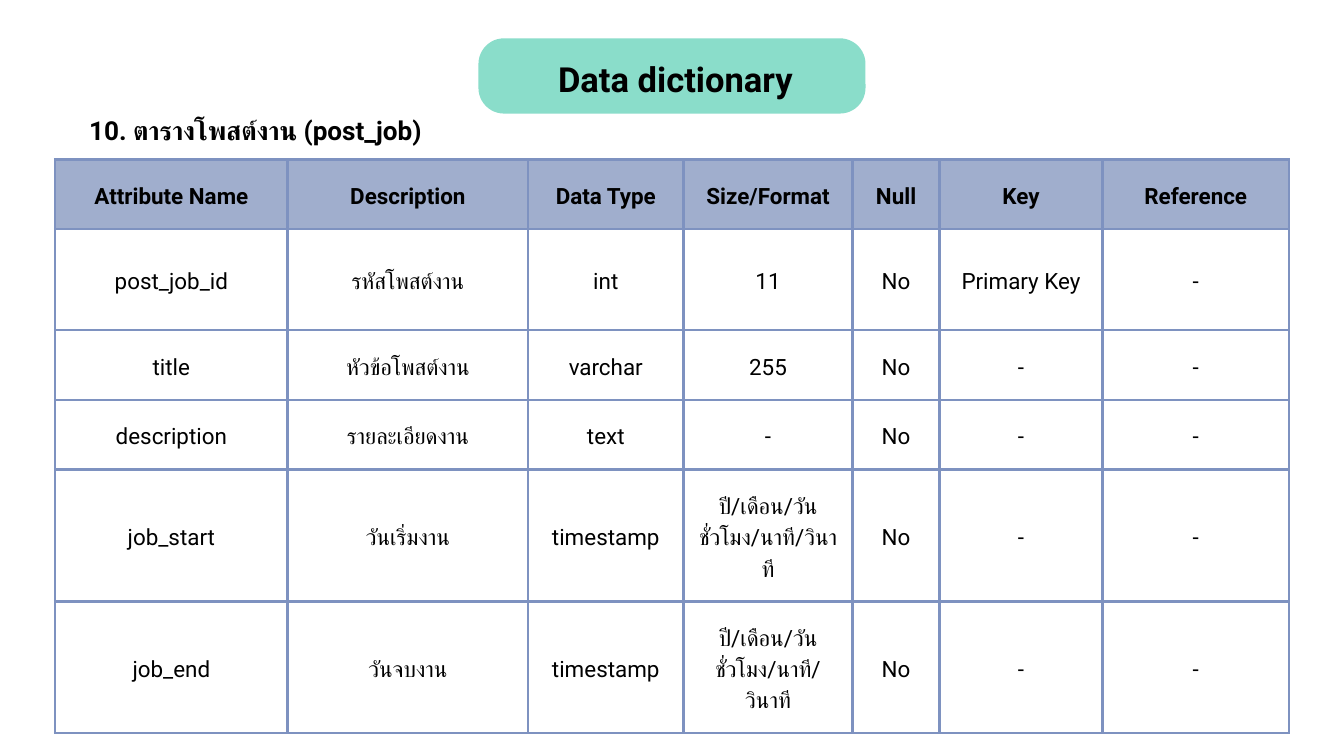
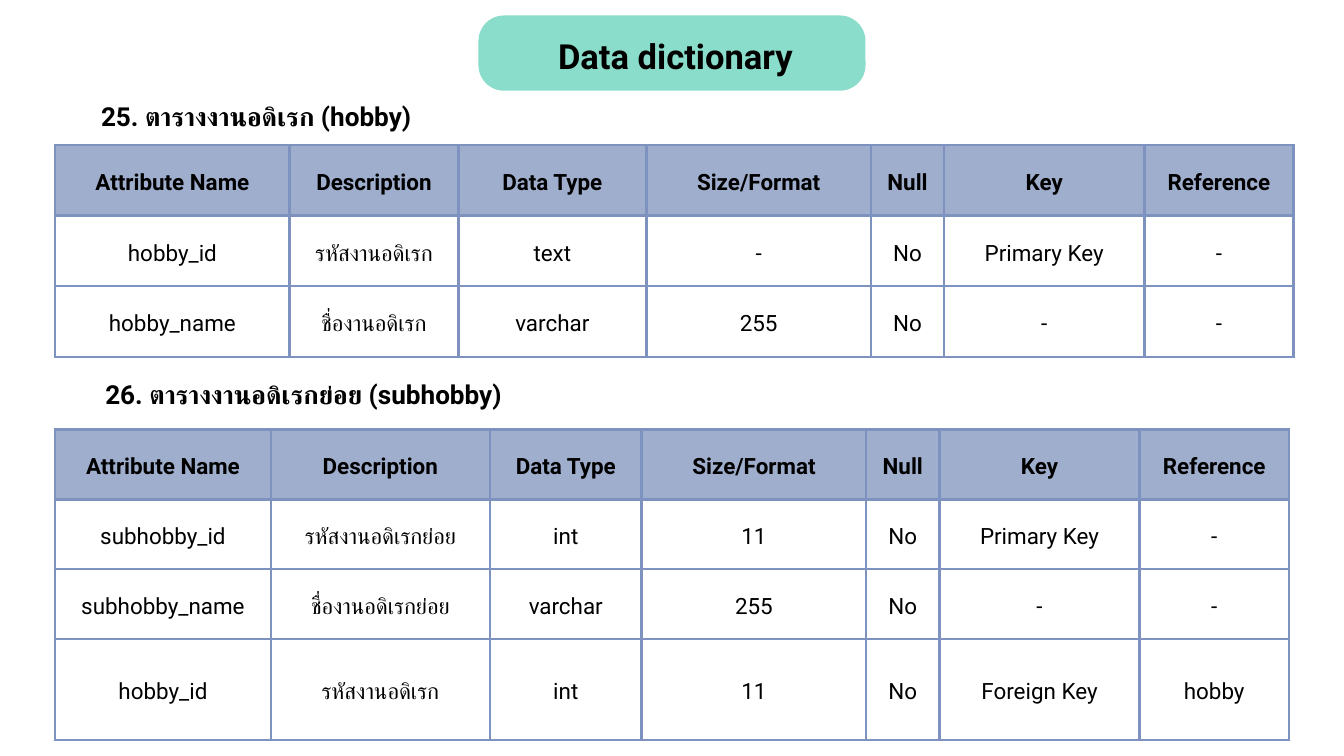
"""Build two data dictionary slides with titled attribute tables."""
from lxml.etree import SubElement
from pptx import Presentation
from pptx.dml.color import RGBColor
from pptx.enum.shapes import MSO_SHAPE
from pptx.enum.text import MSO_ANCHOR, MSO_AUTO_SIZE, PP_ALIGN
from pptx.oxml.ns import qn
from pptx.util import Inches, Pt

FONT = "Roboto"
BLACK, MINT, HEADER_BLUE, BORDER_BLUE = "000000", "8ADDCA", "A0AECD", "7E92C0"
TABLE_LEFT = 0.82
CELL_MARGIN = Inches(0.21)
HEADINGS = ["Attribute Name", "Description", "Data Type", "Size/Format", "Null", "Key", "Reference"]

PAGES = [
    {"band_top": 0.57, "tables": [
        {"caption": "10. ตารางโพสต์งาน (post_job)", "caption_box": (1.11, 1.62, 5.38, 0.53),
         "top": 2.37,
         "widths": [3.46, 3.58, 2.31, 2.52, 1.29, 2.43, 2.77],
         "heights": [1.04, 1.5, 1.04, 1.04, 1.96, 1.96],
         "records": [
             ["post_job_id", "รหัสโพสต์งาน", "int", "11", "No", "Primary Key", "-"],
             ["title", "หัวข้อโพสต์งาน", "varchar", "255", "No", "-", "-"],
             ["description", "รายละเอียดงาน", "text", "-", "No", "-", "-"],
             ["job_start", "วันเริ่มงาน", "timestamp", "ปี/เดือน/วัน ชั่วโมง/นาที/วินาที", "No", "-", "-"],
             ["job_end", "วันจบงาน", "timestamp", "ปี/เดือน/วัน\nชั่วโมง/นาที/วินาที", "No", "-", "-"],
         ]},
    ]},
    {"band_top": 0.23, "tables": [
        {"caption": "25. ตารางงานอดิเรก (hobby)", "caption_box": (0.5, 1.41, 6.62, 0.53),
         "top": 2.16,
         "widths": [3.49, 2.51, 2.8, 3.34, 1.09, 2.98, 2.22],
         "heights": [1.05] * 3,
         "records": [
             ["hobby_id", "รหัสงานอดิเรก", "text", "-", "No", "Primary Key", "-"],
             ["hobby_name", "ชื่องานอดิเรก", "varchar", "255", "No", "-", "-"],
         ]},
        {"caption": "26. ตารางงานอดิเรกย่อย (subhobby)", "caption_box": (0.82, 5.56, 7.39, 0.53),
         "top": 6.39,
         "widths": [3.21, 3.26, 2.26, 3.34, 1.09, 2.98, 2.22],
         "heights": [1.04, 1.04, 1.04, 1.5],
         "records": [
             ["subhobby_id", "รหัสงานอดิเรกย่อย", "int", "11", "No", "Primary Key", "-"],
             ["subhobby_name", "ชื่องานอดิเรกย่อย", "varchar", "255", "No", "-", "-"],
             ["hobby_id", "รหัสงานอดิเรก", "int", "11", "No", "Foreign Key", "hobby"],
         ]},
    ]},
]


def paint(color_format, color):
    color_format.rgb = RGBColor.from_string(color)


def write(frame, text, size, spacing, bold=True, margin=0, anchor=MSO_ANCHOR.TOP):
    frame.word_wrap = True
    frame.vertical_anchor = anchor
    frame.margin_left = frame.margin_right = frame.margin_top = frame.margin_bottom = margin
    for number, line in enumerate(text.split("\n")):
        para = frame.add_paragraph() if number else frame.paragraphs[0]
        para.alignment = PP_ALIGN.CENTER
        para.line_spacing = Pt(spacing)
        para.space_before = Pt(0)
        span = para.add_run()
        span.text = line
        span.font.size = Pt(size)
        span.font.bold = bold
        span.font.name = FONT
        paint(span.font.color, BLACK)
        for script in ("a:ea", "a:cs"):
            SubElement(span.font._element, qn(script), typeface=FONT)


deck = Presentation()
deck.slide_width, deck.slide_height = Inches(20), Inches(11.25)

for content in PAGES:
    page = deck.slides.add_slide(deck.slide_layouts[5])
    band_top = content["band_top"]
    band = page.shapes.add_shape(MSO_SHAPE.ROUNDED_RECTANGLE, Inches(7.12), Inches(band_top),
                                 Inches(5.76), Inches(1.12))
    band.adjustments[0] = 0.34
    band.shadow.inherit = False
    band.fill.solid()
    paint(band.fill.fore_color, MINT)
    band.line.fill.background()

    title = page.shapes.title
    title._element.addprevious(band._element)
    title.left, title.top = Inches(8.03), Inches(band_top + 0.19)
    title.width, title.height = Inches(4.04), Inches(0.67)
    title.text_frame.auto_size = MSO_AUTO_SIZE.NONE
    write(title.text_frame, "Data dictionary", 37, 51.7)

    for entry in content["tables"]:
        caption = page.shapes.add_textbox(*map(Inches, entry["caption_box"]))
        write(caption.text_frame, entry["caption"], 28, 39.2)

        widths, heights = entry["widths"], entry["heights"]
        table = page.shapes.add_table(len(heights), len(widths), Inches(TABLE_LEFT), Inches(entry["top"]),
                                      Inches(sum(widths)), Inches(sum(heights))).table
        table.first_row = table.horz_banding = False
        for column, width in zip(table.columns, widths):
            column.width = Inches(width)
        for row, height, values in zip(table.rows, heights, [HEADINGS] + entry["records"]):
            row.height = Inches(height)
            is_header = values is HEADINGS
            for cell, value in zip(row.cells, values):
                write(cell.text_frame, value, 24, 33.6, is_header)
                cell.vertical_anchor = MSO_ANCHOR.MIDDLE
                cell.margin_left = cell.margin_right = CELL_MARGIN
                cell.margin_top = cell.margin_bottom = CELL_MARGIN
                properties = cell._tc.get_or_add_tcPr()
                for side in ("a:lnL", "a:lnR", "a:lnT", "a:lnB"):
                    border = SubElement(properties, qn(side), w=str(Pt(3)))
                    border_fill = SubElement(border, qn("a:solidFill"))
                    SubElement(border_fill, qn("a:srgbClr"), val=BORDER_BLUE)
                if is_header:
                    cell.fill.solid()
                    paint(cell.fill.fore_color, HEADER_BLUE)
                else:
                    cell.fill.background()

deck.save("out.pptx")
